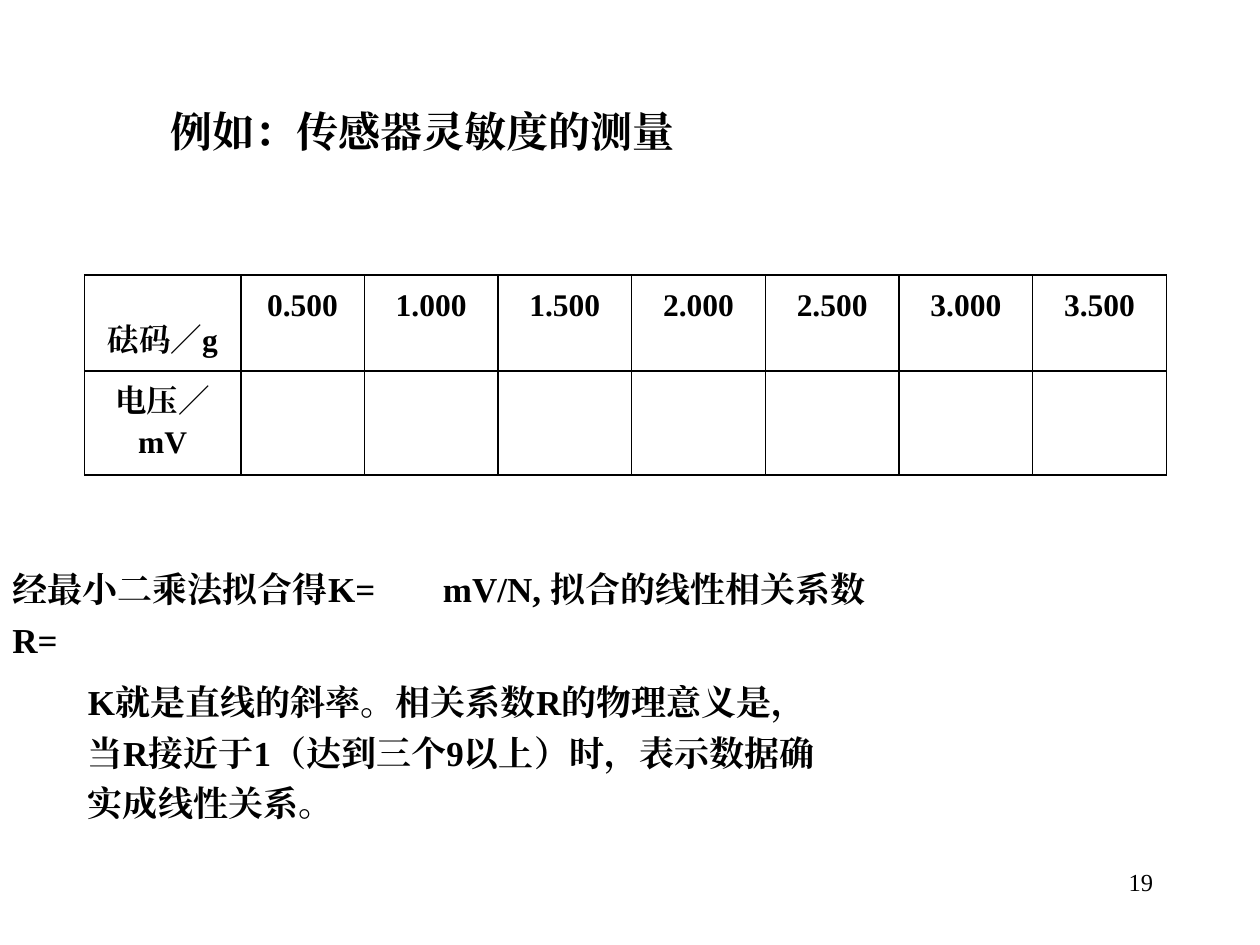
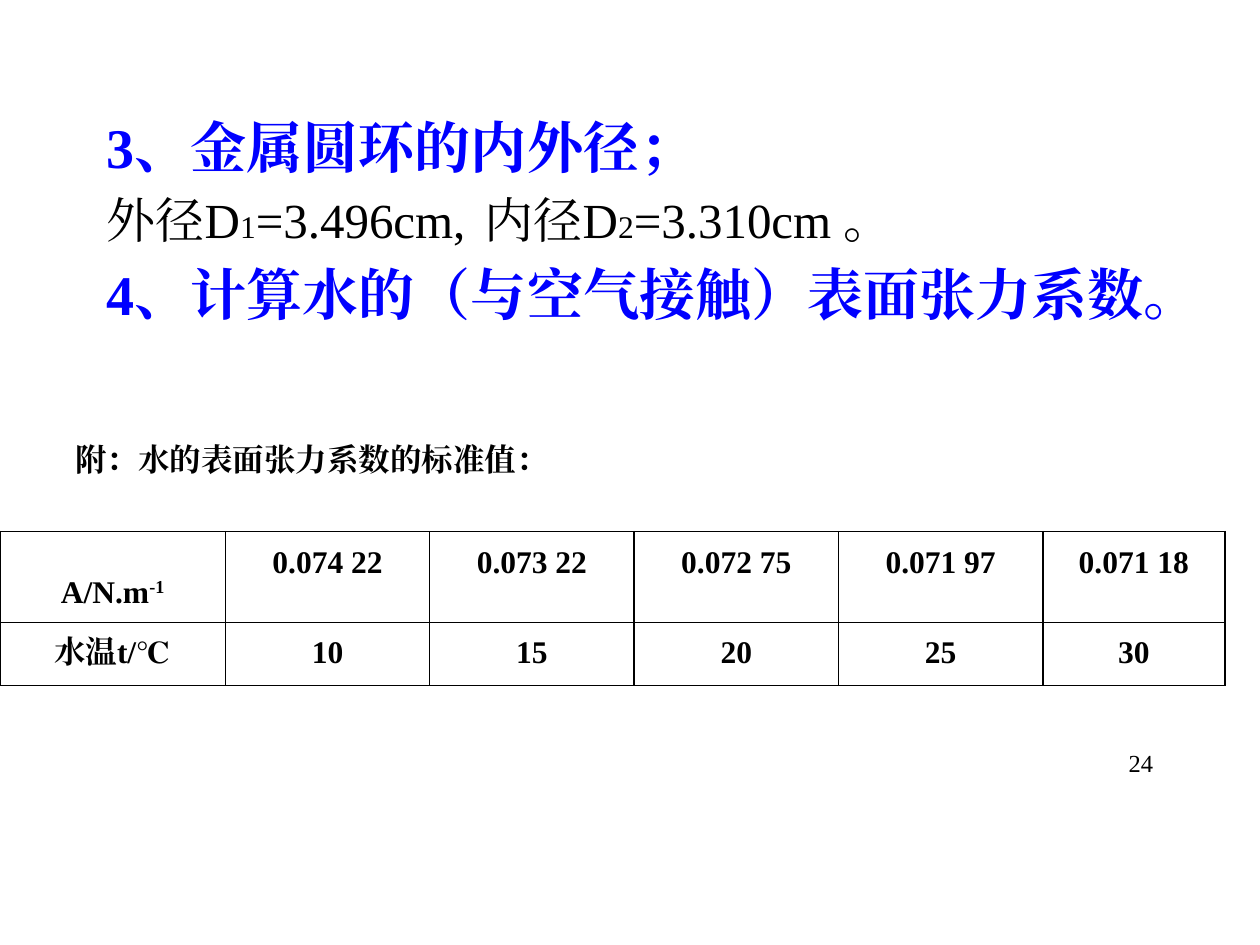
from lxml import etree
from pptx import Presentation
from pptx.dml.color import RGBColor
from pptx.enum import text
from pptx.oxml.ns import qn
from pptx.util import Pt

FONT = "Times New Roman"
BLACK, BLUE = "000000", "0000FF"
LEFT, CENTER, RIGHT = text.PP_ALIGN.LEFT, text.PP_ALIGN.CENTER, text.PP_ALIGN.RIGHT
LOOSE = 1.2
HANGING = 27

TITLE = "例如：传感器灵敏度的测量"
FIT_RESULT = [
    ("经最小二乘法拟合得K=", {}),
    ("\t", {"underline": True}),
    ("mV/N, 拟合的线性相关系数R=", {}),
    ("\t", {"underline": True}),
]
FIT_BLANK_ENDS = [56, 246]
FIT_MEANING = "K就是直线的斜率。相关系数R的物理意义是，当R接近于1（达到三个9以上）时，表示数据确实成线性关系。"
SENSOR_TABLE = {
    "at": (48.3, 157.1),
    "columns": [89.3, 70.6] + [76.4] * 6,
    "rows": [54.8, 59.5],
    "cells": [
        ["砝码／g", "0.500", "1.000", "1.500", "2.000", "2.500", "3.000", "3.500"],
        ["电压／mV"] + [""] * 7,
    ],
}

HEADING = {"size": 32, "bold": True, "color": BLUE}
BODY = {"size": 28, "bold": False}
DIGIT = {"size": 18, "bold": False}
RING_STEPS = [
    ([("3、金属圆环的内外径；", HEADING)], 0, HANGING, []),
    ([("外径D", BODY), ("1", DIGIT), ("=3.496cm,\t内径D", BODY),
      ("2", DIGIT), ("=3.310cm 。", BODY)], 5.6, 0, [239]),
    ([("4、计算水的（与空气接触）表面张力系数。", HEADING)], 6.4, HANGING, []),
]
APPENDIX = "附：水的表面张力系数的标准值："
TENSION_TABLE = {
    "at": (0, 303.8),
    "columns": [128.8] + [116.8] * 4 + [104],
    "rows": [51.8, 36],
    "cells": [
        [[("A/N.m", {}), ("-1", {"superscript": True})],
         "0.074 22", "0.073 22", "0.072 75", "0.071 97", "0.071 18"],
        ["水温t/℃", "10", "15", "20", "25", "30"],
    ],
}


def rgb(value):
    return RGBColor.from_string(value)


def add_run(paragraph, content, size, bold=True, color=BLACK, underline=False, superscript=False):
    run = paragraph.add_run()
    run.text = content
    run.font.name = FONT
    run.font.size = Pt(size)
    run.font.bold = bold
    run.font.underline = underline
    run.font.color.rgb = rgb(color)
    properties = run.font._element
    etree.SubElement(properties, qn("a:ea"), typeface=FONT)
    if superscript:
        properties.set("baseline", "30000")


def write(paragraph, runs, size, align=LEFT, spacing=1.0, before=0, bold=True):
    if isinstance(runs, str):
        runs = [(runs, {})]
    paragraph.alignment = align
    paragraph.line_spacing = spacing
    paragraph.space_before = Pt(before)
    for content, style in runs:
        add_run(paragraph, content, **{"size": size, "bold": bold, **style})


def set_tabs(paragraph, stops):
    if stops:
        tab_list = etree.SubElement(paragraph._p.get_or_add_pPr(), qn("a:tabLst"))
        for stop in stops:
            etree.SubElement(tab_list, qn("a:tab"), pos=str(Pt(stop)), algn="l")


def place(shape, box, anchor):
    shape.left, shape.top, shape.width, shape.height = map(Pt, box)
    frame = shape.text_frame
    frame.word_wrap = True
    frame.auto_size = text.MSO_AUTO_SIZE.NONE
    frame.vertical_anchor = anchor
    return frame


def add_text(slide, box, anchor=text.MSO_ANCHOR.MIDDLE):
    return place(slide.shapes.add_textbox(*map(Pt, box)), box, anchor)


def add_page_number(slide, number, top):
    frame = add_text(slide, (516.2, top, 149.8, 36), text.MSO_ANCHOR.TOP)
    write(frame.paragraphs[0], number, 14, RIGHT, bold=False)


def add_borders(cell):
    properties = cell._tc.get_or_add_tcPr()
    for position, side in enumerate(("a:lnL", "a:lnR", "a:lnT", "a:lnB")):
        line = etree.Element(qn(side), w=str(Pt(1)))
        fill = etree.SubElement(line, qn("a:solidFill"))
        etree.SubElement(fill, qn("a:srgbClr"), val=BLACK)
        properties.insert(position, line)


def add_data_table(slide, data):
    columns, rows = data["columns"], data["rows"]
    size = (sum(columns), sum(rows))
    table = slide.shapes.add_table(len(rows), len(columns), *map(Pt, data["at"] + size)).table
    table.first_row = table.horz_banding = False
    for column, width in zip(table.columns, columns):
        column.width = Pt(width)
    for row, height in zip(table.rows, rows):
        row.height = Pt(height)
    for row_index, values in enumerate(data["cells"]):
        for column_index, value in enumerate(values):
            cell = table.cell(row_index, column_index)
            cell.fill.background()
            add_borders(cell)
            is_corner = row_index == column_index == 0
            if is_corner:
                cell.vertical_anchor = text.MSO_ANCHOR.BOTTOM
                cell.margin_bottom = Pt(7)
            if value:
                write(cell.text_frame.paragraphs[0], value, 18, CENTER, 1.0 if is_corner else LOOSE)


def build_sensitivity_slide(presentation):
    slide = presentation.slides.add_slide(presentation.slide_layouts[5])
    title = place(slide.shapes.title, (37.4, 50.4, 408.2, 42.5), text.MSO_ANCHOR.MIDDLE)
    write(title.paragraphs[0], TITLE, 24, CENTER, LOOSE)
    add_data_table(slide, SENSOR_TABLE)

    result = add_text(slide, (0, 330.5, 524.9, 36)).paragraphs[0]
    write(result, FIT_RESULT, 20, spacing=LOOSE)
    set_tabs(result, FIT_BLANK_ENDS)
    meaning = add_text(slide, (43.2, 380.2, 429.8, 94.3)).paragraphs[0]
    write(meaning, FIT_MEANING, 20, spacing=LOOSE)
    add_page_number(slide, "19", 491.8)


def build_tension_slide(presentation):
    slide = presentation.slides.add_slide(presentation.slide_layouts[6])
    frame = add_text(slide, (54, 60.5, 612, 152.6), text.MSO_ANCHOR.TOP)
    for index, (runs, before, hanging, stops) in enumerate(RING_STEPS):
        paragraph = frame.add_paragraph() if index else frame.paragraphs[0]
        write(paragraph, runs, 28, before=before)
        set_tabs(paragraph, stops)
        properties = paragraph._p.get_or_add_pPr()
        properties.set("marL", str(Pt(hanging)))
        properties.set("indent", str(-Pt(hanging)))

    appendix = add_text(slide, (36, 247.7, 322.6, 28.8)).paragraphs[0]
    write(appendix, APPENDIX, 18)
    add_data_table(slide, TENSION_TABLE)
    add_page_number(slide, "24", 424.1)


def main():
    presentation = Presentation()
    presentation.slide_width, presentation.slide_height = Pt(720), Pt(540)
    build_sensitivity_slide(presentation)
    build_tension_slide(presentation)
    presentation.save("out.pptx")


if __name__ == "__main__":
    main()
